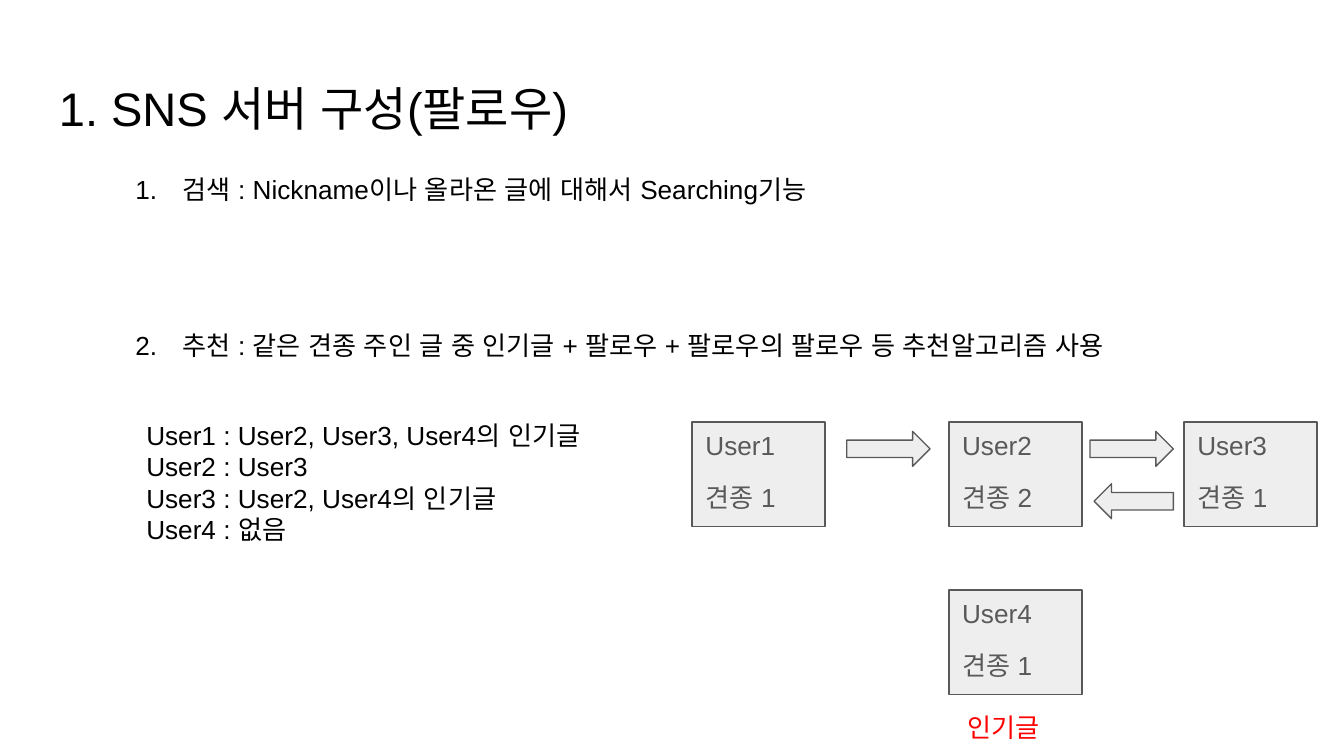
from lxml import etree
from pptx import Presentation
from pptx.dml.color import RGBColor
from pptx.enum.shapes import MSO_SHAPE
from pptx.oxml.ns import qn
from pptx.util import Inches, Pt

RECT = MSO_SHAPE.RECTANGLE
RIGHT = MSO_SHAPE.RIGHT_ARROW
LEFT = MSO_SHAPE.LEFT_ARROW
COLORS = {"black": "000000", "gray": "595959", "light": "EEEEEE", "red": "FF0000"}

prs = Presentation()
prs.slide_width = Inches(10)
prs.slide_height = Inches(10) * 9 // 16
s = prs.slides.add_slide(prs.slide_layouts[6])


def add_text(x, y, w, h, lines, color="black", size=14):
    tf = s.shapes.add_textbox(Inches(x), Inches(y), Inches(w), Inches(h)).text_frame
    tf.word_wrap = True
    tf.margin_left = tf.margin_right = tf.margin_top = tf.margin_bottom = Inches(0.1)
    tf.text = "\n".join(lines)
    for p in tf.paragraphs:
        p.font.name = "Arial"
        p.font.size = Pt(size)
        p.font.color.rgb = RGBColor.from_string(COLORS[color])
        defaults = p._p.pPr.find(qn("a:defRPr"))
        etree.SubElement(defaults, qn("a:ea"), typeface="Arial")
    return tf.paragraphs


def add_block(kind, x, y, w, h):
    sp = s.shapes.add_shape(kind, Inches(x), Inches(y), Inches(w), Inches(h))
    sp.shadow.inherit = False
    sp.fill.solid()
    sp.fill.fore_color.rgb = RGBColor.from_string(COLORS["light"])
    sp.line.color.rgb = RGBColor.from_string(COLORS["gray"])
    sp.line.width = Pt(0.75)


features = add_text(0.76, 1.19, 9.24, 1.62, [
    "검색 : Nickname이나 올라온 글에 대해서 Searching기능",
    "추천 : 같은 견종 주인 글 중 인기글 + 팔로우 + 팔로우의 팔로우 등 추천알고리즘 사용",
])
features[1].space_before = Pt(67)
for p in features:
    pPr = p._p.get_or_add_pPr()
    pPr.set("marL", str(Inches(0.5)))
    pPr.set("indent", str(Inches(-0.35)))
    bullet = etree.Element(qn("a:buAutoNum"), type="arabicPeriod")
    pPr.insert_element_before(bullet, "a:tabLst", "a:defRPr", "a:extLst")

add_text(0.34, 0.49, 9.32, 0.63, ["1. SNS 서버 구성(팔로우)"], size=25.2)

users = [
    ("User1", "견종 1", 5.15, 3.14),
    ("User2", "견종 2", 7.06, 3.14),
    ("User4", "견종 1", 7.06, 4.39),
    ("User3", "견종 1", 8.81, 3.14),
]
for name, breed, x, y in users:
    add_block(RECT, x, y, 0.99, 0.78)
    paragraphs = add_text(x, y - 0.03, 0.99, 0.73, [name, breed], "gray")
    for p in paragraphs:
        p.line_spacing = 0.95
    paragraphs[1].space_before = paragraphs[1].space_after = Pt(12)

for kind, x, y, w in [(RIGHT, 6.3, 3.21, 0.62), (RIGHT, 8.11, 3.21, 0.62), (LEFT, 8.14, 3.6, 0.59)]:
    add_block(kind, x, y, w, 0.26)

add_text(7.1, 5.19, 0.96, 0.44, ["인기글"], "red")
add_text(0.99, 3.02, 3.76, 1.14, [
    "User1 : User2, User3, User4의 인기글",
    "User2 : User3",
    "User3 : User2, User4의 인기글",
    "User4 : 없음",
])

prs.save("out.pptx")
